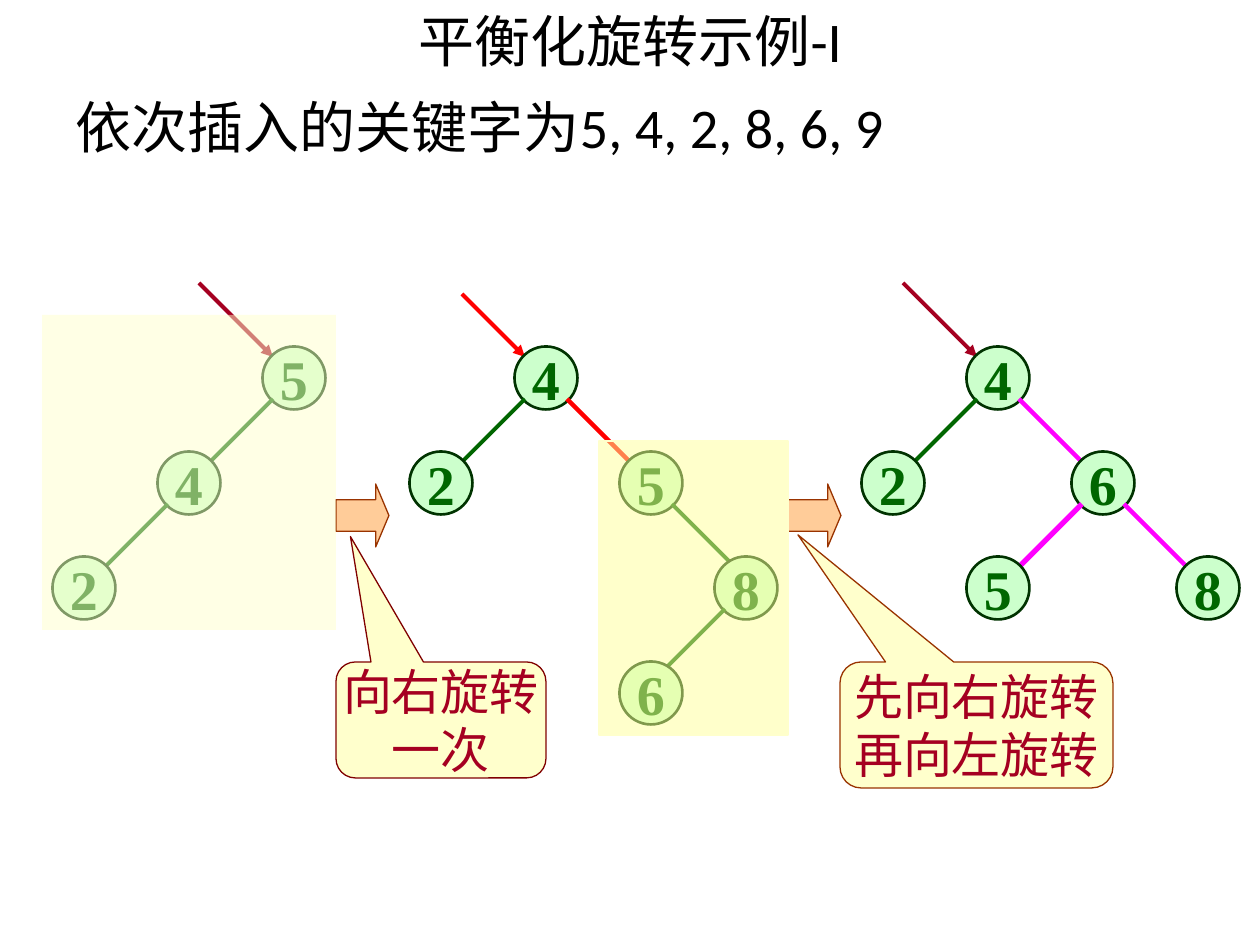
from pptx import Presentation, util as u
from pptx.dml.color import RGBColor
from pptx.enum import shapes as sh, text as tx
from pptx.oxml.ns import qn
from lxml import etree

TITLE = "平衡化旋转示例-I"
BULLET = "依次插入的关键字为5, 4, 2, 8, 6, 9"

THEME = dict(
    ink="000000", node="CCFFCC", rim="003300", key="006600", entry="A50021",
    red="FF0000", pink="FF00FF", step="FFCC99", rust="993300", wine="800000",
    pale="FFFFCC", yellow="FFFF99",
    head="Calibri", body="Times New Roman", big=32, note=28,
)

# entry: colour and reach of the arrow into the root
# nodes: key, centre x, centre y, parent, edge colour, edge width
TREES = [
    dict(entry=("entry", 74), nodes=[
        ("5", 294, 378, None, None, 0),
        ("4", 189, 483, "5", "key", 2.25),
        ("2", 84, 588, "4", "key", 2.25)]),
    dict(entry=("red", 63), nodes=[
        ("4", 546, 378, None, None, 0),
        ("2", 441, 483, "4", "key", 2.25),
        ("5", 651, 483, "4", "red", 2.5),
        ("8", 746, 588, "5", "key", 2.25),
        ("6", 651, 693, "8", "key", 2.25)]),
    dict(entry=("entry", 74), nodes=[
        ("4", 998, 378, None, None, 0),
        ("2", 893, 483, "4", "key", 2.25),
        ("6", 1103, 483, "4", "pink", 2.5),
        ("5", 998, 588, "6", "pink", 3),
        ("8", 1208, 588, "6", "pink", 2.5)]),
]
STEPS = [(336, 484, 53, 63), (788, 484, 53, 63)]
VEILS = [((599, 441, 189, 294), "yellow", "pale"),
         ((42, 315, 294, 315), "pale", None)]
NOTES = [((336, 662, 210, 116), (-0.431, -1.581, 0.167), "wine", ["向右旋转", "一次"]),
         ((840, 662, 273, 126), (-0.654, -1.509, 0.167), "rust", ["先向右旋转", "再向左旋转"])]

NODE = 63   # node diameter, also the run of each edge
RIM = 21    # from a node's centre to where its edges start, on both axes


def px(n):
    return u.Emu(round(n * 914400 / 126))


def rgb(name):
    return RGBColor.from_string(THEME[name])


def write(frame, lines, size, face, color, bold=False, align=tx.PP_ALIGN.CENTER):
    frame.text = "\n".join(lines)
    for para in frame.paragraphs:
        para.alignment = align
        for run in para.runs:
            font = run.font
            font.size, font.name, font.bold = u.Pt(THEME[size]), THEME[face], bold
            font.color.rgb = rgb(color)


def add_form(slide, kind, box, fill, line=None, width=0.75):
    form = slide.shapes.add_shape(kind, *map(px, box))
    form.shadow.inherit = False
    form.fill.solid()
    form.fill.fore_color.rgb = rgb(fill)
    if line:
        form.line.color.rgb = rgb(line)
        form.line.width = u.Pt(width)
    else:
        form.line.fill.background()
    return form


def add_line(slide, x, y, dx, dy, color, width, arrow=False):
    line = slide.shapes.add_connector(
        sh.MSO_CONNECTOR.STRAIGHT, px(x), px(y), px(x + dx), px(y + dy))
    line.line.color.rgb = rgb(color)
    line.line.width = u.Pt(width)
    if arrow:
        etree.SubElement(line.line._get_or_add_ln(), qn("a:tailEnd"), type="triangle")
    etree.SubElement(line._element.spPr, qn("a:effectLst"))


def add_tree(slide, entry, nodes):
    spots = {key: (x, y) for key, x, y, *_ in nodes}
    for key, x, y, parent, color, width in nodes:
        if parent:
            top_x, top_y = spots[parent]
            side = 1 if x > top_x else -1
            add_line(slide, top_x + side * RIM, top_y + RIM, side * NODE, NODE, color, width)
        else:
            color, reach = entry
            add_line(slide, x - RIM - reach, y - RIM - reach, reach, reach,
                     color, 2.25, arrow=True)
        node = add_form(slide, sh.MSO_SHAPE.OVAL,
                        (x - NODE / 2, y - NODE / 2, NODE, NODE), "node", "rim", 1.5)
        node.text_frame.word_wrap = False
        write(node.text_frame, [key], "big", "body", "key", bold=True)


def add_veil(slide, box, fill, line):
    """Half-transparent cover over the part that is about to rotate."""
    veil = add_form(slide, sh.MSO_SHAPE.RECTANGLE, box, fill, line)
    color = veil._element.spPr.find(qn("a:solidFill"))[0]
    etree.SubElement(color, qn("a:alpha"), val="50000")


def add_note(slide, box, tip, line, lines):
    note = add_form(slide, sh.MSO_SHAPE.ROUNDED_RECTANGULAR_CALLOUT, box, "pale", line)
    for i, value in enumerate(tip):
        note.adjustments[i] = value
    note.text_frame.word_wrap = False
    note.text_frame.vertical_anchor = tx.MSO_ANCHOR.MIDDLE
    write(note.text_frame, lines, "note", "body", "entry")


def add_heads(slide):
    title = slide.shapes.title
    title.left, title.top, title.width, title.height = map(px, (63, -4, 1134, 89))
    title.text_frame.vertical_anchor = tx.MSO_ANCHOR.MIDDLE
    write(title.text_frame, [TITLE], "big", "head", "ink")

    body = slide.shapes.add_textbox(*map(px, (63, 86, 1134, 859))).text_frame
    body.word_wrap = True
    props = body.paragraphs[0]._p.get_or_add_pPr()
    props.set("marL", str(px(48)))
    props.set("indent", str(px(-48)))
    etree.SubElement(props, qn("a:buFont"), typeface="Arial")
    etree.SubElement(props, qn("a:buChar"), char="•")
    write(body, [BULLET], "big", "head", "ink", align=tx.PP_ALIGN.LEFT)


def main():
    deck = Presentation()
    deck.slide_width, deck.slide_height = px(1260), px(945)
    slide = deck.slides.add_slide(deck.slide_layouts[5])
    add_heads(slide)
    for tree in TREES:
        add_tree(slide, **tree)
    for box in STEPS:
        step = add_form(slide, sh.MSO_SHAPE.RIGHT_ARROW, box, "step", "rust")
        step.adjustments[0], step.adjustments[1] = 0.5, 0.25
    for note in NOTES:
        add_note(slide, *note)
    for veil in VEILS:
        add_veil(slide, *veil)
    deck.save("out.pptx")


if __name__ == "__main__":
    main()
